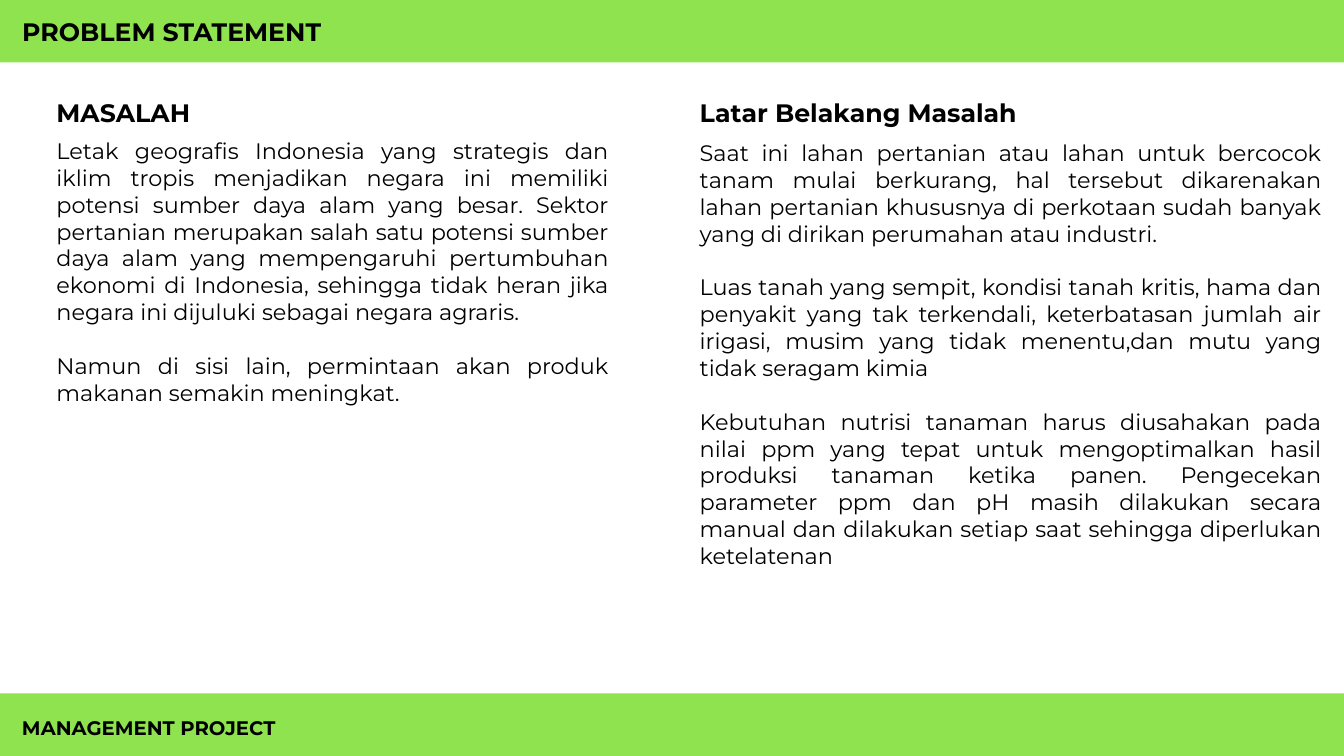
from pptx import Presentation
from pptx.dml.color import RGBColor
from pptx.enum import shapes, text
from pptx.oxml.ns import qn
from pptx.util import Inches, Pt
from lxml import etree

GREEN = RGBColor(0x8E, 0xE3, 0x4F)
BLACK = RGBColor(0, 0, 0)
FONT = "Montserrat"
WIDTH, HEIGHT, BAND_HEIGHT = 13.33, 7.5, 0.62
HEADING_TOP = 0.92

PROBLEM = [
    "Letak geografis Indonesia yang strategis dan iklim tropis menjadikan negara ini "
    "memiliki potensi sumber daya alam yang besar. Sektor pertanian merupakan salah satu "
    "potensi sumber daya alam yang mempengaruhi pertumbuhan ekonomi di Indonesia, "
    "sehingga tidak heran jika negara ini dijuluki sebagai negara agraris.",
    "Namun di sisi lain, permintaan akan produk makanan semakin meningkat.",
]
BACKGROUND = [
    "Saat ini lahan pertanian atau lahan untuk bercocok tanam mulai berkurang, hal "
    "tersebut dikarenakan lahan pertanian khususnya di perkotaan sudah banyak yang di "
    "dirikan perumahan atau industri.",
    "Luas tanah yang sempit, kondisi tanah kritis, hama dan penyakit yang tak "
    "terkendali, keterbatasan jumlah air irigasi, musim yang tidak menentu,dan mutu "
    "yang tidak seragam kimia",
    "Kebutuhan nutrisi tanaman harus diusahakan pada nilai ppm yang tepat untuk "
    "mengoptimalkan hasil produksi tanaman ketika panen. Pengecekan parameter ppm dan "
    "pH masih dilakukan secara manual dan dilakukan setiap saat sehingga diperlukan "
    "ketelatenan",
]


def add_band(slide, top):
    """Add a full-width green band behind everything else."""
    band = slide.shapes.add_shape(
        shapes.MSO_SHAPE.RECTANGLE, 0, Inches(top), Inches(WIDTH), Inches(BAND_HEIGHT))
    band.shadow.inherit = False
    band.fill.solid()
    band.fill.fore_color.rgb = GREEN
    band.line.fill.background()
    slide.shapes._spTree.insert(2, band._element)


def place(shape, left, top, width, height):
    shape.left, shape.top = Inches(left), Inches(top)
    shape.width, shape.height = Inches(width), Inches(height)


def write(shape, paragraphs, size, bold=False, align=text.PP_ALIGN.LEFT, gap=0):
    """Fill a shape with unbulleted paragraphs, gap points apart."""
    frame = shape.text_frame
    frame.word_wrap = True
    frame.auto_size = text.MSO_AUTO_SIZE.NONE
    frame.vertical_anchor = text.MSO_ANCHOR.TOP
    frame.text = "\n".join(paragraphs)
    for index, paragraph in enumerate(frame.paragraphs):
        paragraph.alignment = align
        paragraph.space_before = Pt(gap if index else 0)
        properties = paragraph._p.get_or_add_pPr()
        properties.set("marL", "0")
        properties.set("indent", "0")
        etree.SubElement(properties, qn("a:buNone"))
        font = paragraph.runs[0].font
        font.name, font.size, font.bold = FONT, Pt(size), bold
        font.color.rgb = BLACK


def fill_column(heading, body, title, paragraphs, left, top, width, height):
    place(heading, left, HEADING_TOP, width, 0.4)
    write(heading, [title], size=18, bold=True)
    place(body, left, top, width, height)
    write(body, paragraphs, size=16, align=text.PP_ALIGN.JUSTIFY, gap=19.2)


def main():
    presentation = Presentation()
    presentation.slide_width = Inches(WIDTH)
    presentation.slide_height = Inches(HEIGHT)
    comparison_layout = presentation.slide_layouts[4]
    slide = presentation.slides.add_slide(comparison_layout)

    for top in (0, HEIGHT - BAND_HEIGHT):
        add_band(slide, top)

    title, left_heading, left_body, right_heading, right_body = slide.placeholders
    place(title, 0.12, 0.11, 7.22, 0.4)
    write(title, ["PROBLEM STATEMENT"], size=18, bold=True)
    fill_column(left_heading, left_body, "MASALAH", PROBLEM,
                left=0.46, top=1.31, width=5.68, height=3.08)
    fill_column(right_heading, right_body, "Latar Belakang Masalah", BACKGROUND,
                left=6.84, top=1.33, width=6.37, height=4.41)

    footer = slide.shapes.add_textbox(0, 0, 0, 0)
    place(footer, 0.12, 7.05, 3, 0.34)
    write(footer, ["MANAGEMENT PROJECT"], size=14, bold=True)

    presentation.save("out.pptx")


if __name__ == "__main__":
    main()
